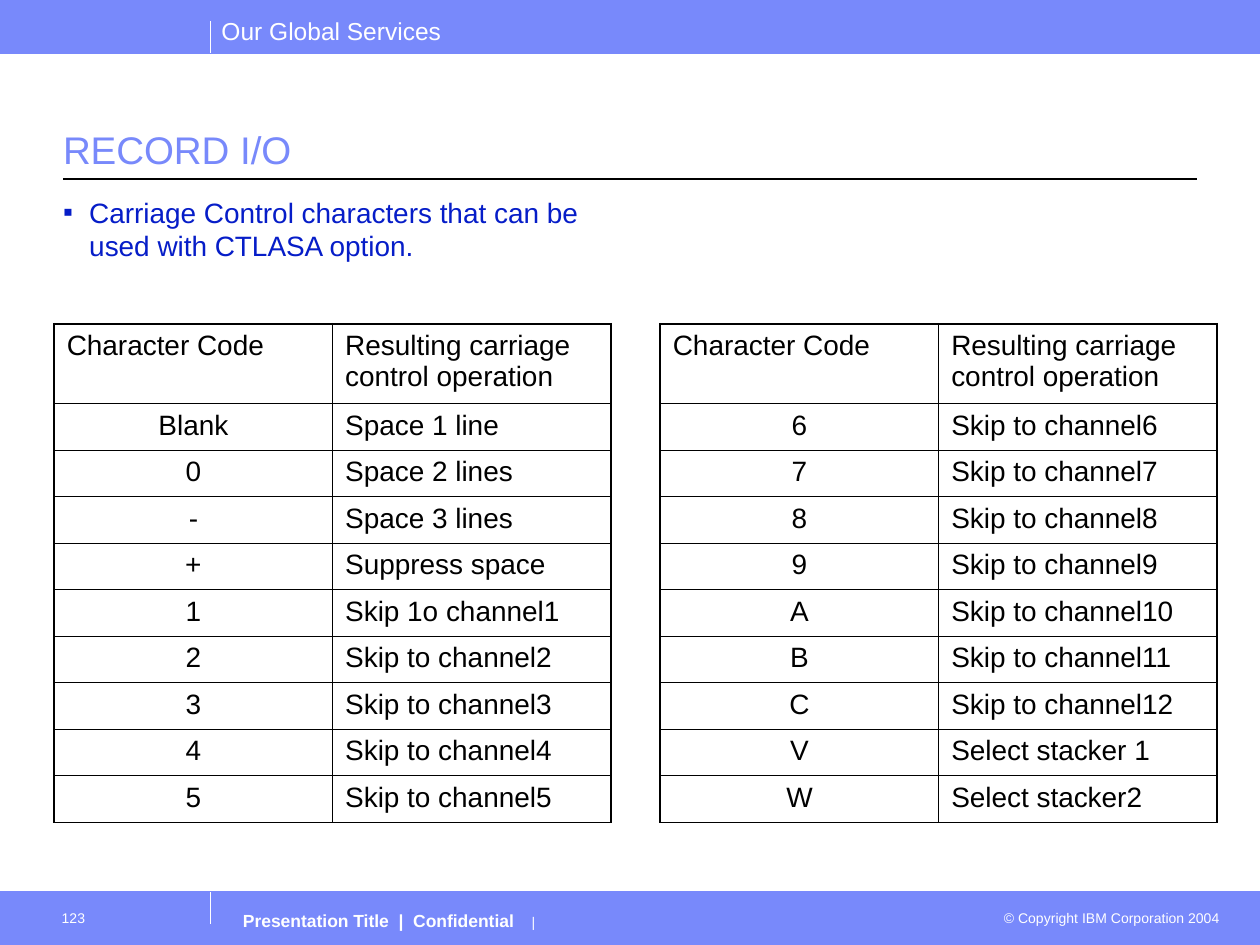
from lxml import etree
from pptx import Presentation
from pptx.dml.color import RGBColor
from pptx.enum.shapes import MSO_CONNECTOR, MSO_SHAPE
from pptx.enum.text import MSO_ANCHOR, MSO_AUTO_SIZE, PP_ALIGN
from pptx.oxml.ns import qn
from pptx.util import Pt

LEFT, CENTER, RIGHT = PP_ALIGN.LEFT, PP_ALIGN.CENTER, PP_ALIGN.RIGHT
BOTTOM = MSO_ANCHOR.BOTTOM
NO_AUTOFIT = MSO_AUTO_SIZE.NONE
RECTANGLE = MSO_SHAPE.RECTANGLE
STRAIGHT = MSO_CONNECTOR.STRAIGHT

WIDTH, HEIGHT = 720, 540
BAND_HEIGHT = 30.24
FOOTER_TOP = HEIGHT - BAND_HEIGHT
FOOTER_TEXT_TOP = 514.8
DIVIDER_X, DIVIDER_HEIGHT = 120.24, 18
TITLE_LEFT, TITLE_WIDTH, TITLE_BOTTOM = 36, 648, 102.24

TABLE_TOP, COLUMN_WIDTH = 185.04, 159.12
HEADER_ROW, CODE_ROW = 45.6, 26.6
THICK, THIN = 1.08, 0.45

HEADINGS = ("Character Code", "Resulting carriage control operation")
SPACING_CODES = [
    ("Blank", "Space 1 line"),
    ("0", "Space 2 lines"),
    ("-", "Space 3 lines"),
    ("+", "Suppress space"),
    ("1", "Skip 1o channel1"),
    ("2", "Skip to channel2"),
    ("3", "Skip to channel3"),
    ("4", "Skip to channel4"),
    ("5", "Skip to channel5"),
]
CHANNEL_CODES = [
    ("6", "Skip to channel6"),
    ("7", "Skip to channel7"),
    ("8", "Skip to channel8"),
    ("9", "Skip to channel9"),
    ("A", "Skip to channel10"),
    ("B", "Skip to channel11"),
    ("C", "Skip to channel12"),
    ("V", "Select stacker 1"),
    ("W", "Select stacker2"),
]


def rgb(hex_color):
    return RGBColor.from_string(hex_color)


def add_element(parent, tag, **attributes):
    child = etree.SubElement(parent, qn(tag))
    for key, value in attributes.items():
        child.set(key, str(value))
    return child


class SlideBuilder:
    """Holds the slide and its style; each method adds one kind of element."""

    font = "Arial"
    band_color = "7889FB"
    body_color = "061DC8"
    white = "FFFFFF"
    black = "000000"

    def __init__(self, slide):
        self.slide = slide

    def format_run(self, run, size, color, bold=False):
        run.font.name = self.font
        run.font.size = Pt(size)
        run.font.bold = bold
        run.font.color.rgb = rgb(color)

    def band(self, top):
        band = self.slide.shapes.add_shape(
            RECTANGLE, 0, Pt(top), Pt(WIDTH), Pt(BAND_HEIGHT))
        band.shadow.inherit = False
        band.fill.solid()
        band.fill.fore_color.rgb = rgb(self.band_color)
        band.line.color.rgb = rgb(self.band_color)
        band.line.width = Pt(0.75)

    def line(self, x1, y1, x2, y2, color, weight=0.75):
        line = self.slide.shapes.add_connector(
            STRAIGHT, Pt(x1), Pt(y1), Pt(x2), Pt(y2))
        line.line.color.rgb = rgb(color)
        line.line.width = Pt(weight)
        add_element(line._element.spPr, "a:effectLst")

    def set_frame(self, frame, margins, wrap=True):
        frame.auto_size = NO_AUTOFIT
        frame.word_wrap = wrap
        (frame.margin_left, frame.margin_top,
         frame.margin_right, frame.margin_bottom) = map(Pt, margins)

    def title(self, wording):
        title = self.slide.shapes.title
        title.left, title.top = Pt(TITLE_LEFT), Pt(36)
        title.width, title.height = Pt(TITLE_WIDTH), Pt(TITLE_BOTTOM - 36)
        frame = title.text_frame
        self.set_frame(frame, (0, 3.6, 0, 3.6))
        frame.vertical_anchor = BOTTOM
        frame.text = wording
        frame.paragraphs[0].alignment = LEFT
        self.format_run(frame.paragraphs[0].runs[0], 22, self.band_color)

    def text(self, box, runs, margins=(7.2, 3.6, 7.2, 3.6), align=LEFT, wrap=True):
        """Add a one-paragraph text box; runs are (wording, size, color, bold)."""
        shape = self.slide.shapes.add_textbox(*map(Pt, box))
        self.set_frame(shape.text_frame, margins, wrap)
        paragraph = shape.text_frame.paragraphs[0]
        paragraph.alignment = align
        for wording, *style in runs:
            run = paragraph.add_run()
            run.text = wording
            self.format_run(run, *style)
        return paragraph

    def bullet(self, box, wording):
        paragraph = self.text(box, [(wording, 16, self.body_color)], (0, 3.6, 0, 3.6))
        properties = paragraph._p.get_or_add_pPr()
        properties.set("marL", str(Pt(15)))
        properties.set("indent", str(Pt(-15)))
        bullet_color = add_element(properties, "a:buClr")
        add_element(bullet_color, "a:srgbClr", val=self.body_color)
        add_element(properties, "a:buFont", typeface=self.font)
        add_element(properties, "a:buChar", char="▪")

    def tab_stops(self, paragraph, positions):
        tabs = add_element(paragraph._p.get_or_add_pPr(), "a:tabLst")
        for position in positions:
            add_element(tabs, "a:tab", pos=Pt(position), algn="l")

    def cell_borders(self, cell, weights):
        properties = cell._tc.get_or_add_tcPr()
        for side, weight in zip("LRTB", weights):
            border = add_element(properties, f"a:ln{side}", w=Pt(weight))
            fill = add_element(border, "a:solidFill")
            add_element(fill, "a:srgbClr", val=self.black)

    def code_table(self, left, codes):
        rows = [HEADINGS, *codes]
        last_row, last_column = len(rows) - 1, len(HEADINGS) - 1
        table = self.slide.shapes.add_table(
            len(rows), len(HEADINGS), Pt(left), Pt(TABLE_TOP),
            Pt(COLUMN_WIDTH * len(HEADINGS)),
            Pt(HEADER_ROW + CODE_ROW * len(codes))).table
        table.first_row = table.horz_banding = False
        for column in table.columns:
            column.width = Pt(COLUMN_WIDTH)
        for r, entries in enumerate(rows):
            table.rows[r].height = Pt(CODE_ROW if r else HEADER_ROW)
            for c, wording in enumerate(entries):
                cell = table.cell(r, c)
                cell.text = wording
                paragraph = cell.text_frame.paragraphs[0]
                paragraph.alignment = CENTER if r and c == 0 else LEFT
                self.format_run(paragraph.runs[0], 16, self.black)
                outer_sides = (c == 0, c == last_column, r == 0, r == last_row)
                self.cell_borders(
                    cell, [THICK if outer else THIN for outer in outer_sides])
                cell.fill.background()


def main():
    deck = Presentation()
    deck.slide_width, deck.slide_height = Pt(WIDTH), Pt(HEIGHT)
    builder = SlideBuilder(deck.slides.add_slide(deck.slide_layouts[5]))
    white = builder.white

    for top, inner_edge in ((FOOTER_TOP, FOOTER_TOP), (0, BAND_HEIGHT)):
        builder.band(top)
        builder.line(0, inner_edge, WIDTH, inner_edge, builder.band_color, 0.5)
    for top in (BAND_HEIGHT - DIVIDER_HEIGHT, FOOTER_TOP):
        builder.line(DIVIDER_X, top, DIVIDER_X, top + DIVIDER_HEIGHT, white)
    builder.text((119.52, 5.76, 141.12, 24.48),
                 [("Our Global Services", 14, white)], wrap=False)

    builder.title("RECORD I/O")
    builder.line(TITLE_LEFT, TITLE_BOTTOM, TITLE_LEFT + TITLE_WIDTH, TITLE_BOTTOM,
                 builder.black)
    builder.bullet((36, 108, 318.24, 396),
                   "Carriage Control characters that can be used with CTLASA option.")
    builder.code_table(377.28, CHANNEL_CODES)
    builder.code_table(30.96, SPACING_CODES)

    builder.text((23.76, FOOTER_TEXT_TOP, 95.76, 25.2),
                 [("123", 8, white)], (11.52, 5.04, 7.2, 3.6))
    footer = builder.text(
        (131.76, FOOTER_TEXT_TOP, 324, 25.2),
        [("Presentation Title\t|\tConfidential", 10, white, True), ("\t|", 8, white)],
        (7.2, 5.04, 7.2, 3.6))
    builder.tab_stops(footer, (89, 97.3, 165))
    builder.text((563.76, 516.24, 140.4, 17.28),
                 [("© Copyright IBM Corporation 2004", 8, white)], align=RIGHT)

    deck.save("out.pptx")


if __name__ == "__main__":
    main()
